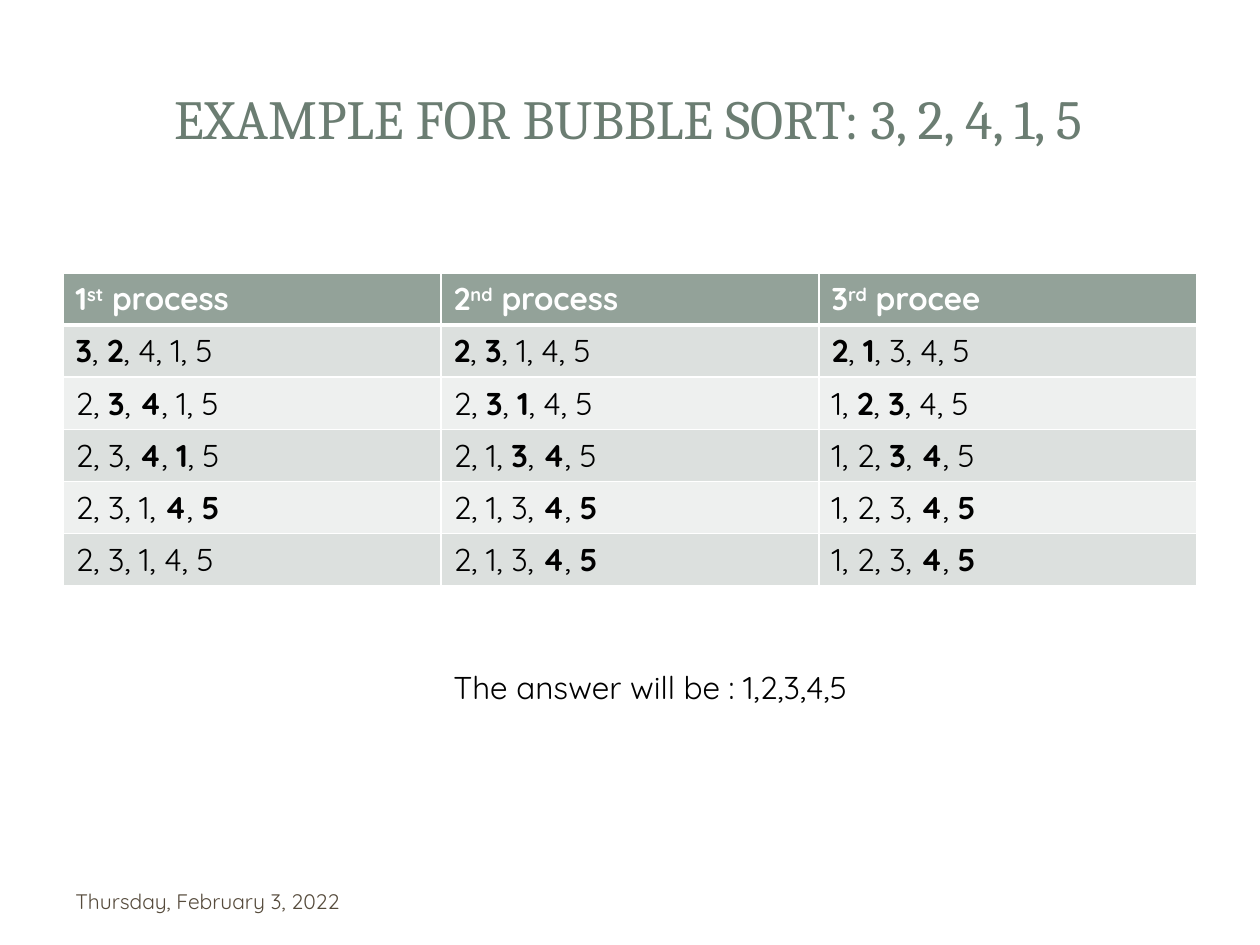
from dataclasses import dataclass
from typing import Any

from lxml import etree
from pptx import Presentation
from pptx.dml.color import RGBColor
from pptx.enum.shapes import MSO_SHAPE
from pptx.enum.text import MSO_ANCHOR, PP_ALIGN
from pptx.oxml.ns import qn
from pptx.util import Inches, Pt

RECT, ROUND = MSO_SHAPE.RECTANGLE, MSO_SHAPE.ROUNDED_RECTANGLE
MIDDLE, TOP = MSO_ANCHOR.MIDDLE, MSO_ANCHOR.TOP
LEFT, CENTER = PP_ALIGN.LEFT, PP_ALIGN.CENTER
WHITE = RGBColor(0xFF, 0xFF, 0xFF)
BLACK = RGBColor(0x00, 0x00, 0x00)
SAGE = RGBColor(0x6B, 0x7D, 0x72)
BROWN = RGBColor(0x56, 0x4B, 0x3C)
HEAD = RGBColor(0x93, 0xA2, 0x99)
BANDS = (RGBColor(0xDC, 0xE0, 0xDE), RGBColor(0xEE, 0xF0, 0xEF))
SERIF, SANS = "Cambria", "Quicksand"
WIDE, HIGH = Inches(10), Inches(7.5)
ROW = Inches(0.41)


@dataclass(frozen=True)
class Area:
    left: float
    top: float
    width: float
    height: float

    def place(self) -> tuple[int, int, int, int]:
        return (int(self.left * WIDE / 100), int(self.top * HIGH / 100),
                int(self.width * WIDE / 100), int(self.height * HIGH / 100))


@dataclass(frozen=True)
class Panel:
    kind: Any
    area: Area
    alpha: int = 100


@dataclass(frozen=True)
class Label:
    text: str
    area: Area
    size: float
    font: str
    color: RGBColor
    align: Any = LEFT
    anchor: Any = MIDDLE


@dataclass(frozen=True)
class Step:
    order: str
    first: int | None


@dataclass(frozen=True)
class Process:
    number: str
    suffix: str
    name: str
    steps: tuple[Step, ...]


PANELS = (
    Panel(ROUND, Area(1, 1.47, 98, 97.2)),
    Panel(RECT, Area(3, 4, 94, 19.33), 83),
    Panel(RECT, Area(4.1, 5.47, 91.7, 16.27)),
)
LABELS = (
    Label("EXAMPLE FOR BUBBLE SORT: 3, 2, 4, 1, 5",
          Area(4.7, 5.95, 90.3, 12.93), 31.5, SERIF, SAGE, CENTER),
    Label("Thursday, February 3, 2022",
          Area(5, 92.67, 23.3, 5.33), 12, SANS, BROWN),
    Label("The answer will be : 1,2,3,4,5",
          Area(35, 70, 36, 5.33), 18, SANS, BLACK, anchor=TOP),
)
TABLE = (
    Process("1", "st", " process", (
        Step("32415", 0), Step("23415", 1), Step("23415", 2),
        Step("23145", 3), Step("23145", None))),
    Process("2", "nd", " process", (
        Step("23145", 0), Step("23145", 1), Step("21345", 2),
        Step("21345", 3), Step("21345", 3))),
    Process("3", "rd", " procee", (
        Step("21345", 0), Step("12345", 1), Step("12345", 2),
        Step("12345", 3), Step("12345", 3))),
)
GRID = Area(5, 28.88, 90, 32.8)


def add_panel(slide: Any, panel: Panel) -> None:
    shape = slide.shapes.add_shape(panel.kind, *panel.area.place())
    shape.shadow.inherit = False
    shape.line.fill.background()
    shape.fill.solid()
    shape.fill.fore_color.rgb = WHITE
    if panel.kind == ROUND:
        shape.adjustments[0] = 0.02
    if panel.alpha < 100:
        color = shape._element.spPr.find(f".//{qn('a:srgbClr')}")
        etree.SubElement(color, qn("a:alpha"), val=str(panel.alpha * 1000))


def add_run(para: Any, text: str, size: float, font: str, color: RGBColor,
            bold: bool = False, raised: bool = False) -> None:
    run = para.add_run()
    run.text = text
    run.font.size, run.font.name, run.font.bold = Pt(size), font, bold
    run.font.color.rgb = color
    if raised:
        run.font._element.set("baseline", "30000")


def add_label(slide: Any, label: Label) -> None:
    frame = slide.shapes.add_textbox(*label.area.place()).text_frame
    frame.word_wrap = True
    frame.vertical_anchor = label.anchor
    para = frame.paragraphs[0]
    para.alignment = label.align
    add_run(para, label.text, label.size, label.font, label.color)


def style_cell(cell: Any, fill: RGBColor, top: float, base: float) -> None:
    props = cell._tc.get_or_add_tcPr()
    for side, width in (("L", 1), ("R", 1), ("T", top), ("B", base)):
        line = etree.SubElement(props, qn(f"a:ln{side}"), w=str(Pt(width)))
        solid = etree.SubElement(line, qn("a:solidFill"))
        etree.SubElement(solid, qn("a:srgbClr"), val=str(WHITE))
    cell.fill.solid()
    cell.fill.fore_color.rgb = fill


def add_step(para: Any, step: Step) -> None:
    digits = list(step.order)
    if step.first is None:
        add_run(para, ", ".join(digits), 18, SANS, BLACK)
        return
    cut = step.first
    parts = (
        ("".join(f"{digit}, " for digit in digits[:cut]), False),
        (digits[cut], True),
        (", ", False),
        (digits[cut + 1], True),
        ("".join(f", {digit}" for digit in digits[cut + 2:]), False),
    )
    for text, bold in parts:
        if text:
            add_run(para, text, 18, SANS, BLACK, bold)


def add_grid(slide: Any) -> None:
    rows = len(TABLE[0].steps) + 1
    left, top, width, height = GRID.place()
    grid = slide.shapes.add_table(
        rows, len(TABLE), left, top, width, height).table
    for row in grid.rows:
        row.height = ROW
    for col, process in enumerate(TABLE):
        grid.columns[col].width = width // len(TABLE)
        cell = grid.cell(0, col)
        style_cell(cell, HEAD, 1, 3)
        para = cell.text_frame.paragraphs[0]
        for text in (process.number, process.suffix, process.name):
            add_run(para, text, 18, SANS, WHITE, True, text == process.suffix)
        for row, step in enumerate(process.steps):
            cell = grid.cell(row + 1, col)
            style_cell(cell, BANDS[row % 2], 1 if row else 3, 1)
            add_step(cell.text_frame.paragraphs[0], step)


def main() -> None:
    deck = Presentation()
    deck.slide_width, deck.slide_height = WIDE, HIGH
    slide = deck.slides.add_slide(deck.slide_layouts[6])
    for panel in PANELS:
        add_panel(slide, panel)
    add_grid(slide)
    for label in LABELS:
        add_label(slide, label)
    deck.save("out.pptx")


if __name__ == "__main__":
    main()
